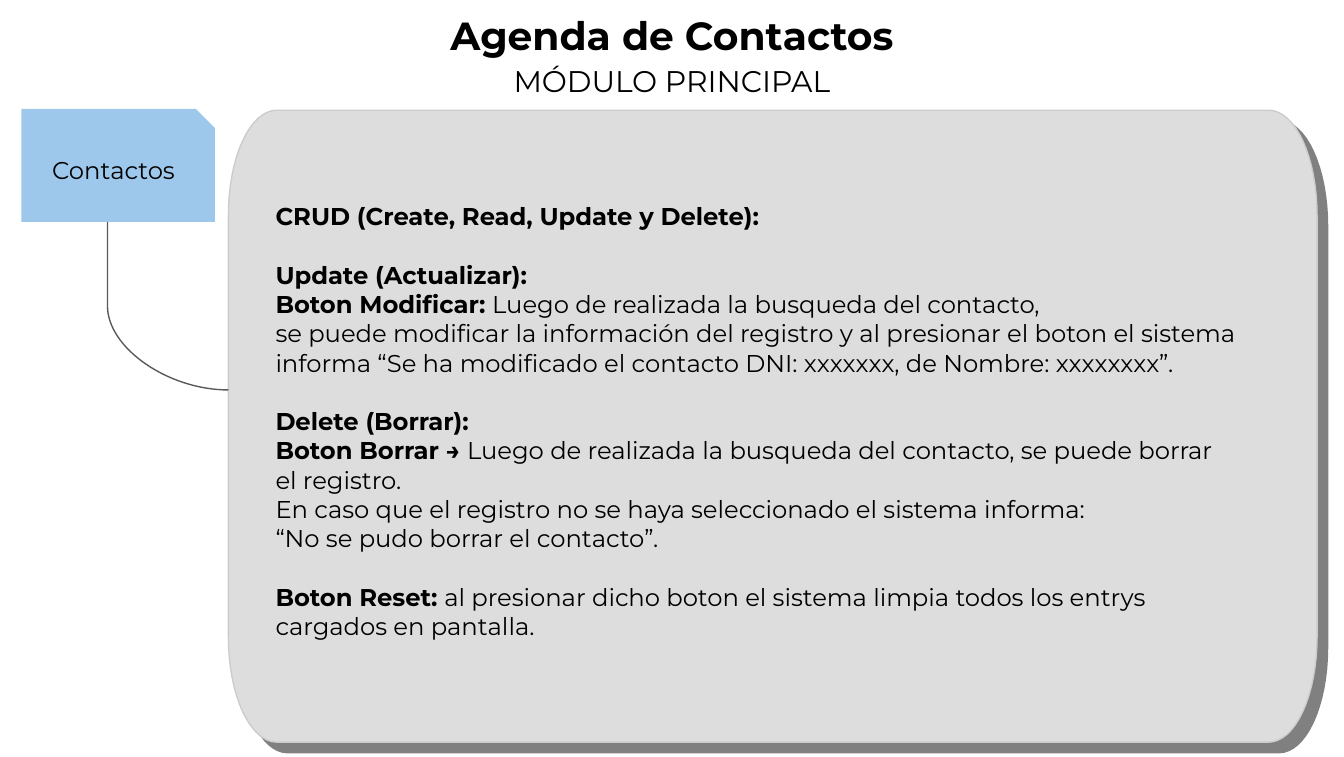
import math

import lxml.etree
import pptx
import pptx.dml.color
import pptx.enum.shapes
import pptx.enum.text
import pptx.oxml
import pptx.oxml.ns
import pptx.util

Inches = pptx.util.Inches
Pt = pptx.util.Pt
Shapes = pptx.enum.shapes
Align = pptx.enum.text.PP_ALIGN
Anchor = pptx.enum.text.MSO_ANCHOR
qn = pptx.oxml.ns.qn


def colour(value):
    return pptx.dml.color.RGBColor.from_string(value)


class Slide:
    font = "Montserrat"
    ink = "000000"
    line_width = Pt(0.75)

    def __init__(self, page):
        self.page = page

    def fill_text(self, frame, lines, size, align=Align.CENTER, anchor=Anchor.MIDDLE, inset=0.1):
        frame.word_wrap = True
        frame.auto_size = pptx.enum.text.MSO_AUTO_SIZE.NONE
        frame.vertical_anchor = anchor
        frame.margin_left = frame.margin_right = Inches(inset)
        frame.margin_top = frame.margin_bottom = Inches(inset)
        for index, (gap, spans) in enumerate(lines):
            para = frame.add_paragraph() if index else frame.paragraphs[0]
            para.alignment = align
            para.space_before = Pt(gap)
            for text, bold in spans:
                span = para.add_run()
                span.text = text
                span.font.name = self.font
                span.font.size = Pt(size)
                span.font.bold = bold
                span.font.color.rgb = colour(self.ink)

    def heading(self, box, top, text, size, bold):
        box.left, box.top = Inches(0), Inches(top)
        box.width, box.height = Inches(10), Inches(0.44)
        self.fill_text(box.text_frame, [(0, [(text, bold)])], size)

    def panel(self, left, top, width, height, radius_x, radius_y, fill, line, shade):
        right, bottom = left + width, top + height
        centres = [
            (right - radius_x, bottom - radius_y),
            (left + radius_x, bottom - radius_y),
            (left + radius_x, top + radius_y),
            (right - radius_x, top + radius_y),
        ]
        steps = 16
        points = []
        for quarter, (x, y) in enumerate(centres):
            for step in range(steps + 1):
                angle = (quarter + step / steps) * math.pi / 2
                points.append((
                    Inches(x + radius_x * math.cos(angle)),
                    Inches(y + radius_y * math.sin(angle)),
                ))
        builder = self.page.shapes.build_freeform(*points[0])
        builder.add_line_segments(points[1:], close=True)
        box = builder.convert_to_shape()
        box.shadow.inherit = False
        box.fill.solid()
        box.fill.fore_color.rgb = colour(fill)
        box.line.color.rgb = colour(line)
        box.line.width = self.line_width
        effects = box._element.spPr.find(qn("a:effectLst"))
        shadow = lxml.etree.SubElement(
            effects, qn("a:outerShdw"), dist=str(Pt(8)), dir=str(45 * 60000),
            algn="bl", rotWithShape="0",
        )
        lxml.etree.SubElement(shadow, qn("a:srgbClr"), val=shade)

    def card(self, left, top, width, height, text, fill):
        box = self.page.shapes.add_shape(
            Shapes.MSO_SHAPE.SNIP_1_RECTANGLE,
            Inches(left), Inches(top), Inches(width), Inches(height),
        )
        box.adjustments[0] = 0.17
        box.shadow.inherit = False
        box.fill.solid()
        box.fill.fore_color.rgb = colour(fill)
        box.line.fill.background()
        self.fill_text(box.text_frame, [(0, [(text, False)])], 13)

    def text(self, left, top, width, height, lines):
        box = self.page.shapes.add_textbox(
            Inches(left), Inches(top), Inches(width), Inches(height)
        )
        self.fill_text(box.text_frame, lines, 13, Align.LEFT, Anchor.TOP, 0)

    def curve(self, start, end, line):
        link = self.page.shapes.add_connector(
            Shapes.MSO_CONNECTOR.CURVE, *[Inches(value) for value in start + end]
        )
        link.line.color.rgb = colour(line)
        link.line.width = self.line_width
        properties = link._element.spPr
        lxml.etree.SubElement(properties, qn("a:effectLst"))
        guides = properties.find(qn("a:prstGeom")).get_or_add_avLst()
        lxml.etree.SubElement(guides, qn("a:gd"), name="adj1", fmla="val 0")


deck = pptx.Presentation()
deck.slide_width = Inches(10)
deck.slide_height = Inches(5.63)
page = deck.slides.add_slide(deck.slide_layouts[0])
slide = Slide(page)

slide.heading(page.shapes.title, 0.04, "Agenda de Contactos", 21, True)
slide.heading(page.placeholders[1], 0.38, "MÓDULO PRINCIPAL", 16, False)
slide.panel(1.7, 0.82, 8.1, 4.7, 0.36, 0.78, "DDDDDD", "CCCCCC", "808080")
slide.card(0.16, 0.81, 1.44, 0.84, "Contactos", "9DC8EC")

gap = 15.8
slide.text(2.05, 1.5, 7.25, 3.68, [
    (0, [("CRUD (Create, Read, Update y Delete):", True)]),
    (gap, [("Update (Actualizar):", True)]),
    (0, [("Boton Modificar: ", True),
         ("Luego de realizada la busqueda del contacto,", False)]),
    (0, [("se puede modificar la información del registro y al presionar el boton el sistema", False)]),
    (0, [("informa “Se ha modificado el contacto DNI: xxxxxxx, de Nombre: xxxxxxxx”.", False)]),
    (gap, [("Delete (Borrar):", True)]),
    (0, [("Boton Borrar → ", True),
         ("Luego de realizada la busqueda del contacto, se puede borrar", False)]),
    (0, [("el registro.", False)]),
    (0, [("En caso que el registro no se haya seleccionado el sistema informa:", False)]),
    (0, [("“No se pudo borrar el contacto”.", False)]),
    (gap, [("Boton Reset: ", True),
           ("al presionar dicho boton el sistema limpia todos los entrys", False)]),
    (0, [("cargados en pantalla.", False)]),
])
slide.curve((0.8, 1.65), (1.7, 2.9), "595959")

deck.save("out.pptx")
